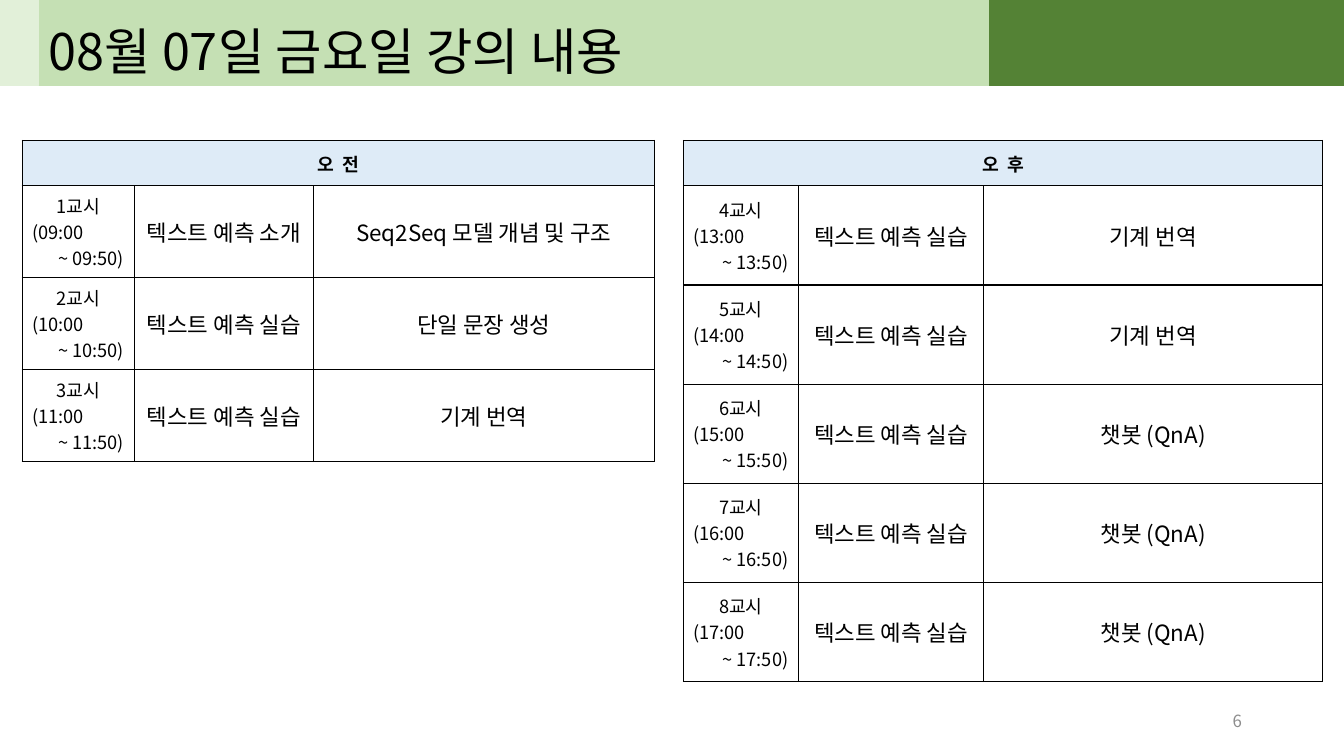
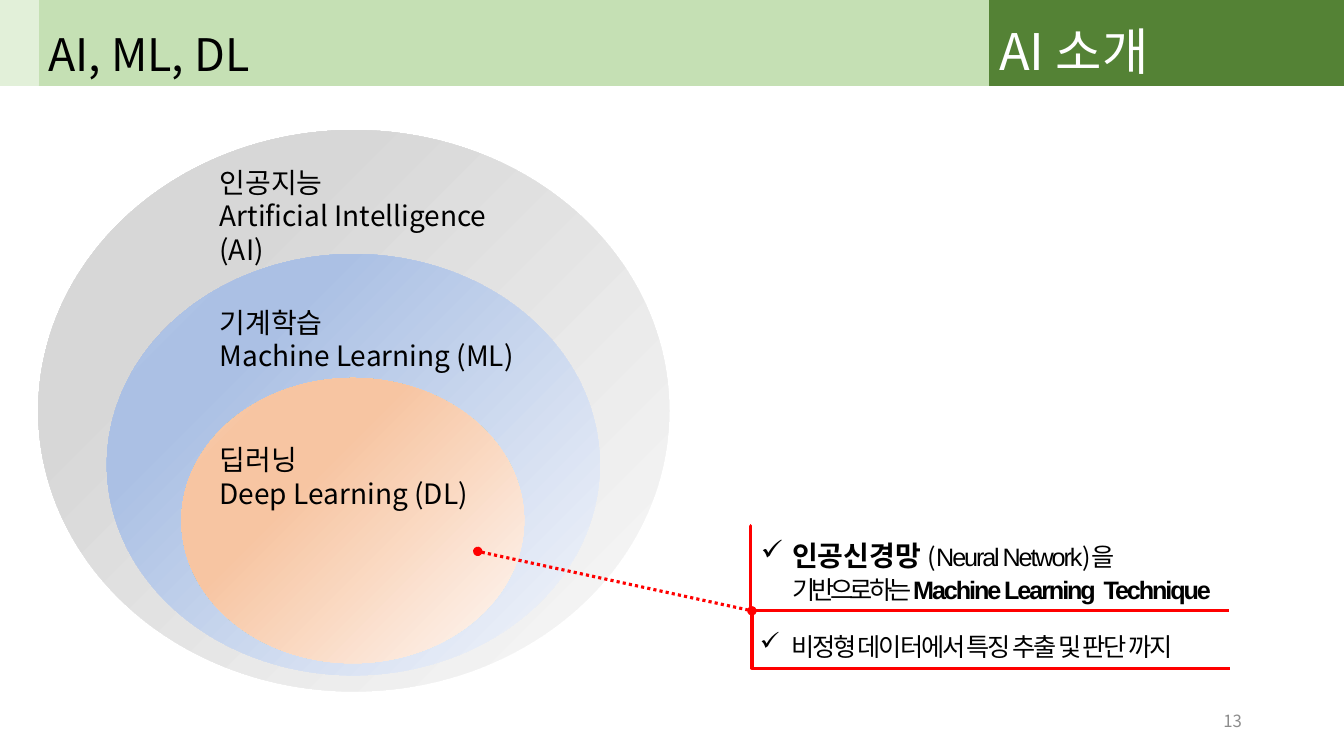
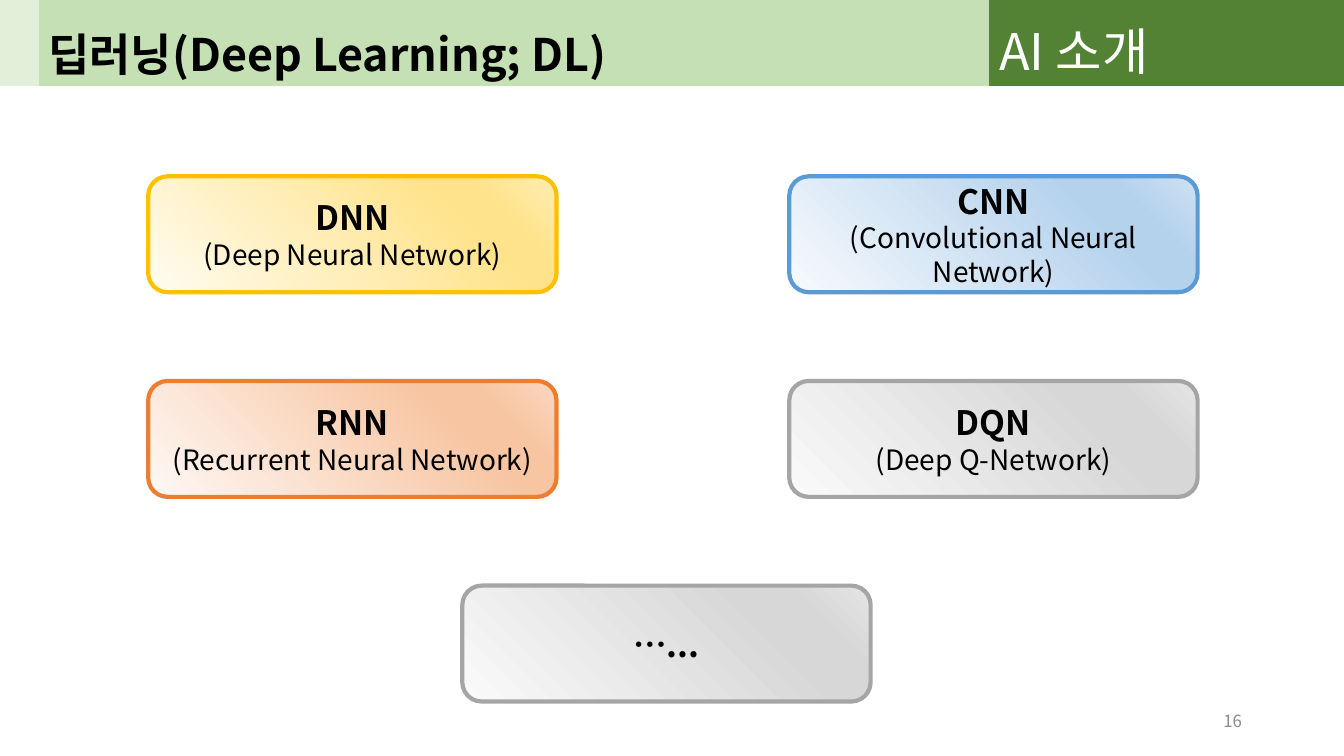
from itertools import cycle

from lxml.etree import SubElement
from pptx import Presentation
from pptx.dml.color import RGBColor
from pptx.enum.dml import MSO_LINE
from pptx.enum.shapes import MSO_CONNECTOR, MSO_SHAPE
from pptx.enum.text import MSO_ANCHOR, MSO_AUTO_SIZE, PP_ALIGN
from pptx.oxml.ns import qn
from pptx.util import Inches, Pt

WIDE, HIGH = Inches(13.33), Inches(7.5)
RECT, ROUND, OVAL = MSO_SHAPE.RECTANGLE, MSO_SHAPE.ROUNDED_RECTANGLE, MSO_SHAPE.OVAL
LINE, ELBOW = MSO_CONNECTOR.STRAIGHT, MSO_CONNECTOR.ELBOW
DOT, FIXED = MSO_LINE.ROUND_DOT, MSO_AUTO_SIZE.NONE
TOP, MID, LOW = MSO_ANCHOR.TOP, MSO_ANCHOR.MIDDLE, MSO_ANCHOR.BOTTOM
ALIGN = {"l": PP_ALIGN.LEFT, "c": PP_ALIGN.CENTER, "r": PP_ALIGN.RIGHT}

FACE, LATIN = "Noto Sans CJK KR", "Arial"
BLACK, WHITE, RED, MUTED = "000000", "FFFFFF", "FF0000", "8C8C8C"
PALE, LIGHT, DARK, HEAD = "E2F0D9", "C5E0B4", "548235", "DEEBF7"
GRAY = ("FAFAFA", "D7D7D7", "E4E4E4")
INDIGO = ("F6F8FC", "ABC0E4", "C7D5ED")
ORANGE = ("FEF8F5", "F7C5A2", "FAD8C1")
BLUE = ("F7FAFD", "B5D2EC", "CEE1F2")
GOLD = ("FFFCF2", "FFE38C", "FFECB2")
EDGE, BAND = 2.85, 11.33


def across(share):
    """Turn a percentage of the slide width into a length."""
    return round(WIDE * share / 100)


def down(share):
    """Turn a percentage of the slide height into a length."""
    return round(HIGH * share / 100)


def box(x, y, w, h):
    """Turn four percentages into left, top, width and height."""
    return across(x), down(y), across(w), down(h)


def color(code):
    """Turn a hex string into a colour."""
    return RGBColor.from_string(code)


def style(run, size=18, bold=False, ink=BLACK, face=FACE, space=0):
    """Format one run."""
    font = run.font
    font.size, font.bold, font.name = Pt(size), bold, face
    font.color.rgb = color(ink)
    props = run._r.get_or_add_rPr()
    SubElement(props, qn("a:ea"), typeface=face)
    if space:
        props.set("spc", str(round(space * 100)))


def check(para):
    """Give a paragraph a hanging check mark."""
    props = para._p.get_or_add_pPr()
    hang = Inches(0.31)
    props.set("marL", str(hang))
    props.set("indent", str(-hang))
    SubElement(props, qn("a:buChar"), char="✓")


def write(frame, *paras, align="l", anchor=TOP, tight=False, tick=False,
          lead=None, **look):
    """Fill a text frame with paragraphs, each a string or a list of runs."""
    frame.word_wrap, frame.auto_size = True, FIXED
    frame.vertical_anchor = anchor
    if tight:
        frame.margin_left = frame.margin_right = 0
        frame.margin_top = frame.margin_bottom = 0
    for spot, (runs, side) in enumerate(zip(paras, cycle(align))):
        para = frame.add_paragraph() if spot else frame.paragraphs[0]
        para.alignment = ALIGN[side]
        if lead:
            para.line_spacing = lead
        if tick:
            check(para)
        for words, extra in [(runs, {})] if isinstance(runs, str) else runs:
            if words == "\n":
                para.add_line_break()
                continue
            run = para.add_run()
            run.text = words
            style(run, **{**look, **extra})


def label(slide, place, *paras, **look):
    """Add a text box."""
    write(slide.shapes.add_textbox(*box(*place)).text_frame, *paras, **look)


def paint(shape, fill):
    """Give a shape one colour for fill and line."""
    shape.fill.solid()
    shape.fill.fore_color.rgb = shape.line.color.rgb = color(fill)
    shape.line.width = Pt(1)


def block(slide, place, fill):
    """Add a plain band."""
    shape = slide.shapes.add_shape(RECT, *box(*place))
    shape.shadow.inherit = False
    paint(shape, fill)
    return shape


def blend(slide, kind, place, tones, angle, start=74, edge=None):
    """Add a shape with a gradient fill."""
    shape = slide.shapes.add_shape(kind, *box(*place))
    shape.shadow.inherit = False
    fill = shape._element.spPr.makeelement(qn("a:gradFill"), rotWithShape="1")
    stops = SubElement(fill, qn("a:gsLst"))
    first, main, last = tones
    for spot, tone in ((0, first), (start, main), (83, main), (100, last)):
        stop = SubElement(stops, qn("a:gs"), pos=str(spot * 1000))
        SubElement(stop, qn("a:srgbClr"), val=tone)
    SubElement(fill, qn("a:lin"), ang=str(angle * 60000), scaled="0")
    shape._element.spPr.find(qn("a:prstGeom")).addnext(fill)
    if edge:
        shape.line.color.rgb, shape.line.width = color(edge), Pt(3)
    else:
        shape.line.fill.background()
    return shape


def link(slide, kind, start, end, dots=False):
    """Add a red line, with dots and round ends on request."""
    (left, top), (right, low) = start, end
    wire = slide.shapes.add_connector(
        kind, across(left), down(top), across(right), down(low))
    wire.line.color.rgb, wire.line.width = color(RED), Pt(2.25)
    props = wire._element.spPr
    if kind == ELBOW:
        SubElement(props.find(qn("a:prstGeom")).find(qn("a:avLst")),
                   qn("a:gd"), name="adj1", fmla="val 150")
    if dots:
        wire.line.dash_style = DOT
        for tip in ("a:headEnd", "a:tailEnd"):
            SubElement(props.find(qn("a:ln")), qn(tip), type="oval")
    SubElement(props, qn("a:effectLst"))


def border(cell):
    """Draw black lines round a cell and leave its fill as it is."""
    props = cell._tc.get_or_add_tcPr()
    for spot, side in enumerate(("a:lnL", "a:lnR", "a:lnT", "a:lnB")):
        line = props.makeelement(qn(side), w=str(Pt(1)))
        SubElement(SubElement(line, qn("a:solidFill")), qn("a:srgbClr"), val=BLACK)
        props.insert(spot, line)


def lessons(slide, left, widths, height, name, first, hour, topics):
    """Add a timetable for half a day."""
    head, count = 6, len(topics)
    place = box(left, 18.57, sum(widths), head + height * count)
    table = slide.shapes.add_table(count + 1, len(widths), *place).table
    table.first_row = table.horz_banding = False
    for col, width in zip(table.columns, widths):
        col.width = across(width)
    for spot, row in enumerate(table.rows):
        row.height = down(height if spot else head)
        for cell in row.cells:
            cell.vertical_anchor = MID
            if spot:
                cell.fill.background()
            else:
                cell.fill.solid()
                cell.fill.fore_color.rgb = color(HEAD)
            border(cell)
    title = table.cell(0, 0)
    title.merge(table.cell(0, len(widths) - 1))
    write(title.text_frame, name, align="c", anchor=MID, size=13, bold=True)
    for step, pair in enumerate(topics):
        row, time = step + 1, f"{hour + step:02}"
        write(table.cell(row, 0).text_frame, f"{first + step}교시", f"({time}:00",
              f"~ {time}:50)", align="clr", anchor=MID, size=13)
        for col, words in enumerate(pair, 1):
            cell = table.cell(row, col)
            cell.margin_left = cell.margin_right = 0
            cell.margin_top = cell.margin_bottom = 0
            write(cell.text_frame, words, align="c", anchor=MID, size=16)


def start(deck, title, number, topic=None, **look):
    """Add a slide with its title, bands and number."""
    slide = deck.slides.add_slide(deck.slide_layouts[5])
    head = slide.shapes.title
    head.left, head.top, head.width, head.height = box(EDGE, 0, 70.8, BAND)
    paint(head, LIGHT)
    write(head.text_frame, title, anchor=LOW, **look)
    block(slide, (0, 0, EDGE, BAND), PALE)
    side = block(slide, (73.6, 0, 26.4, BAND), DARK)
    if topic:
        write(side.text_frame, topic, anchor=LOW, size=36, ink=WHITE)
    label(slide, (70.65, 92.67, 22.5, 5.33), number, align="r", anchor=MID,
          size=12, ink=MUTED)
    return slide


def agenda(deck):
    """Build the timetable slide."""
    slide = start(deck, "08월 07일 금요일 강의 내용", "6", size=36)
    drill, shift, chat = "텍스트 예측 실습", "기계 번역", "챗봇 (QnA)"
    lessons(slide, 1.65, (8.33, 13.35, 25.35), 12.15, "오  전", 1, 9,
            [("텍스트 예측 소개", "Seq2Seq 모델 개념 및 구조"),
             (drill, "단일 문장 생성"), (drill, shift)])
    lessons(slide, 50.85, (8.55, 13.8, 25.2), 13.12, "오  후", 4, 13,
            [(drill, words) for words in (shift, shift, chat, chat, chat)])


def fields(deck):
    """Build the slide of nested fields."""
    slide = start(deck, "AI, ML, DL", "13", "AI 소개", size=32)
    rings = [
        ((2.85, 17.2, 46.95, 74.27), GRAY, 74, 21.2,
         "인공지능", "Artificial Intelligence (AI)"),
        ((7.95, 33.6, 36.68, 55.73), INDIGO, 74, 39.73,
         "기계학습", "Machine Learning (ML)"),
        ((13.5, 50, 25.5, 37.73), ORANGE, 64, 57.87,
         "딥러닝", "Deep Learning (DL)")]
    for place, tones, stop, *_ in rings:
        blend(slide, OVAL, place, tones, 225, stop)
    for *_, top, name, term in rings:
        label(slide, (15.6, top, 24.75, 10.27), name, term, size=20)
    link(slide, ELBOW, (55.88, 81.07), (91.5, 88.4))
    link(slide, ELBOW, (55.8, 69.47), (91.43, 80.8))
    thin = {"face": LATIN, "space": -1.5}
    thick = {**thin, "bold": True}
    label(slide, (55.88, 70.53, 36.38, 10.27), [
        ("인공신경망 ", {"size": 20, "bold": True}), ("(", {}),
        ("Neural Network", thin), (")을", {}), ("\n", {}),
        ("기반으로 하는 ", {"space": -3}), ("Machine Learning", thick),
        (" ", {**thick, "size": 20}), ("Technique", thick)], tick=True)
    label(slide, (55.8, 80.8, 36.45, 7.47),
          "비정형 데이터에서 특징 추출 및 판단 까지", tick=True, lead=1.5, space=-1.5)
    link(slide, LINE, (35.55, 72.93), (55.95, 80.8), dots=True)


def models(deck):
    """Build the slide of network types."""
    slide = start(deck, "딥러닝(Deep Learning; DL)", "16", "AI 소개",
                  size=32, bold=True)
    cards = [
        (0, 0, GOLD, "FFC000", "DNN", "(Deep Neural Network)"),
        (1, 0, BLUE, "5B9BD5", "CNN", "(Convolutional Neural Network)"),
        (0, 1, ORANGE, "ED7D31", "RNN", "(Recurrent Neural Network)"),
        (1, 1, GRAY, "A5A5A5", "DQN", "(Deep Q-Network)"),
        (0.49, 2, GRAY, "A5A5A5", "…...")]
    for col, row, tones, edge, name, *terms in cards:
        place = 11.03 + 47.7 * col, 23.33 + 27.07 * row, 30.38, 15.33
        card = blend(slide, ROUND, place, tones, 315, edge=edge)
        write(card.text_frame, [(name, {"size": 24, "bold": True})], *terms,
              align="c", anchor=MID, tight=True, size=20)


def main():
    """Build and save the deck."""
    deck = Presentation()
    deck.slide_width, deck.slide_height = WIDE, HIGH
    for build in (agenda, fields, models):
        build(deck)
    deck.save("out.pptx")


if __name__ == "__main__":
    main()
